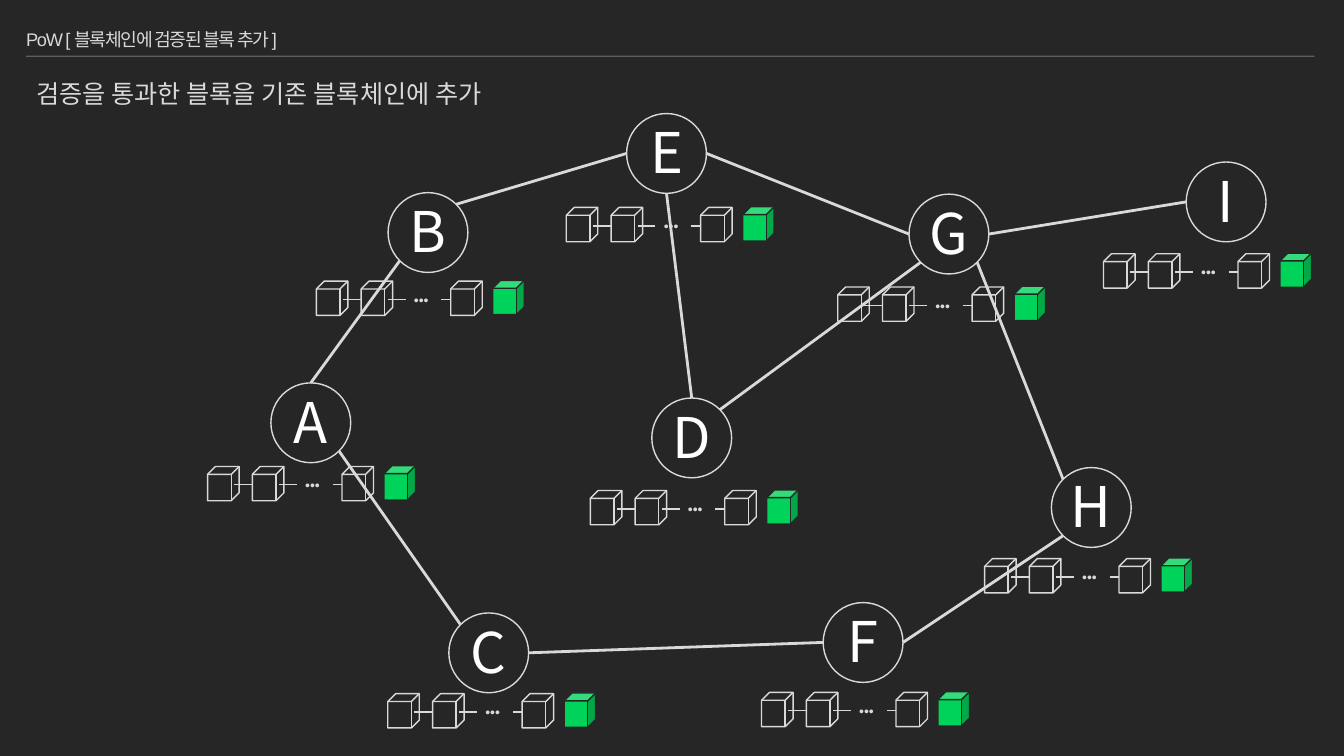
from math import cos, radians, sin

from lxml import etree
from pptx import Presentation
from pptx.dml.color import RGBColor
from pptx.enum.shapes import MSO_CONNECTOR, MSO_SHAPE
from pptx.enum.text import MSO_ANCHOR, MSO_AUTO_SIZE, PP_ALIGN
from pptx.oxml.ns import qn
from pptx.util import Pt

BACKGROUND = RGBColor(0x26, 0x26, 0x26)
LIGHT_GRAY = RGBColor(0xD9, 0xD9, 0xD9)
RULE_GRAY = RGBColor(0xF2, 0xF2, 0xF2)
WHITE = RGBColor(0xFF, 0xFF, 0xFF)
NEW_BLOCK_GREEN = RGBColor(0x00, 0xD3, 0x5A)

TEXT_FONT = "Arial"
NODE_FONT = "Noto Sans CJK KR"

NODE_SIZE = 57
# Node letter: left and top of its circle, left and top of its block chain
NODES = {
    "A": (193.5, 273.5, 148.3, 333.2),
    "I": (847.3, 115.7, 788.3, 181.3),
    "H": (751, 334, 703.3, 399),
    "G": (649.3, 138.7, 598.4, 205),
    "F": (588, 430.4, 544, 494.6),
    "E": (447.6, 81.1, 404.5, 148.2),
    "D": (465.6, 284.3, 421.7, 350.4),
    "C": (320.6, 437.8, 277, 495.5),
    "B": (277.2, 137.6, 226, 200.8),
}

# Directions on a circle, in degrees clockwise from the right
RIGHT, LOWER_RIGHT, DOWN, LOWER_LEFT = 0, 45, 90, 135
LEFT, UPPER_LEFT, UP, UPPER_RIGHT = 180, 225, 270, 315
LINKS = [
    ("A", UP, "B", LOWER_LEFT),
    ("E", LEFT, "B", UPPER_RIGHT),
    ("E", DOWN, "D", UP),
    ("A", LOWER_RIGHT, "C", UPPER_LEFT),
    ("C", RIGHT, "F", LEFT),
    ("F", RIGHT, "H", LOWER_LEFT),
    ("D", UPPER_RIGHT, "G", LOWER_LEFT),
    ("G", RIGHT, "I", LEFT),
    ("G", LEFT, "E", RIGHT),
    ("G", LOWER_RIGHT, "H", UPPER_LEFT),
]

# Chain parts, measured from the left and top of the chain
BLOCK_WIDTH, BLOCK_HEIGHT = 22.5, 24.5
BLOCK_OFFSETS = (0, 32, 96)
NEW_BLOCK_OFFSET = 126
JOINTS = ((19, 31.6), (51.1, 63.7), (89.3, 96.1))
JOINT_DROP = 13.1


def style_text(frame, size, color, font=TEXT_FONT, align=PP_ALIGN.LEFT):
    paragraph = frame.paragraphs[0]
    paragraph.alignment = align
    for run in paragraph.runs:
        run.font.size = Pt(size)
        run.font.name = font
        run.font.color.rgb = color


def set_insets(frame, top, bottom):
    frame.margin_left = frame.margin_right = 0
    frame.margin_top, frame.margin_bottom = Pt(top), Pt(bottom)
    frame.vertical_anchor = MSO_ANCHOR.MIDDLE


def add_line(shapes, start, end, width, color=LIGHT_GRAY):
    line = shapes.add_connector(
        MSO_CONNECTOR.STRAIGHT, *(Pt(value) for value in (*start, *end)))
    line.line.color.rgb = color
    line.line.width = Pt(width)
    etree.SubElement(line.element.spPr, qn("a:effectLst"))
    return line


def add_outline(shapes, preset, left, top, width, height):
    outline = shapes.add_shape(preset, Pt(left), Pt(top), Pt(width), Pt(height))
    outline.shadow.inherit = False
    outline.fill.background()
    outline.line.color.rgb = LIGHT_GRAY
    outline.line.width = Pt(1)
    return outline


def add_title(slide):
    title = slide.shapes.title
    title.left, title.top, title.width, title.height = (
        Pt(18.7), Pt(15.1), Pt(922.3), Pt(25.2))
    frame = title.text_frame
    frame.text = "PoW [ 블록체인에 검증된 블록 추가 ]"
    frame.auto_size = MSO_AUTO_SIZE.NONE
    set_insets(frame, 3.6, 3.6)
    style_text(frame, 13, LIGHT_GRAY)
    paragraph = frame.paragraphs[0]
    paragraph.line_spacing = 1.05
    paragraph.runs[0].font.element.set("spc", "-90") if hasattr(
        paragraph.runs[0].font, "element") else paragraph.runs[0]._r.get_or_add_rPr().set("spc", "-90")


def add_title_rule(slide):
    rule = add_line(slide.shapes, (18.7, 40.1), (938.9, 40.1), 0.5, RULE_GRAY)
    color = rule.element.spPr.find(".//" + qn("a:srgbClr"))
    etree.SubElement(color, qn("a:alpha"), val="80000")


def add_subtitle(slide):
    subtitle = slide.shapes.add_textbox(Pt(18.7), Pt(52.6), Pt(367.2), Pt(29))
    frame = subtitle.text_frame
    frame.text = "검증을 통과한 블록을 기존 블록체인에 추가"
    frame.word_wrap = False
    frame.auto_size = MSO_AUTO_SIZE.SHAPE_TO_FIT_TEXT
    style_text(frame, 18, LIGHT_GRAY)


def add_node(slide, letter, left, top):
    node = add_outline(
        slide.shapes, MSO_SHAPE.OVAL, left, top, NODE_SIZE, NODE_SIZE)
    frame = node.text_frame
    frame.text = letter
    set_insets(frame, 0, 2.9)
    style_text(frame, 40, WHITE, NODE_FONT, PP_ALIGN.CENTER)


def rim_point(letter, direction):
    left, top = NODES[letter][:2]
    radius = NODE_SIZE / 2
    angle = radians(direction)
    return left + radius * (1 + cos(angle)), top + radius * (1 + sin(angle))


def add_chain(slide, left, top):
    parts = slide.shapes.add_group_shape().shapes

    # Newly added block, then the existing ones
    new_block = add_outline(parts, MSO_SHAPE.CUBE, left + NEW_BLOCK_OFFSET,
                            top - 0.5, BLOCK_WIDTH, BLOCK_HEIGHT)
    new_block.fill.solid()
    new_block.fill.fore_color.rgb = NEW_BLOCK_GREEN
    new_block.line.color.rgb = BACKGROUND
    for offset in BLOCK_OFFSETS:
        add_outline(parts, MSO_SHAPE.CUBE, left + offset, top,
                    BLOCK_WIDTH, BLOCK_HEIGHT)

    # Joints and the dots for omitted blocks
    joint_y = top + JOINT_DROP
    for start, end in JOINTS:
        add_line(parts, (left + start, joint_y), (left + end, joint_y), 1)
    dots = parts.add_textbox(Pt(left + 64.8), Pt(top + 3.6), Pt(20.2), Pt(19.4))
    frame = dots.text_frame
    frame.text = "•••"
    frame.word_wrap = True
    frame.auto_size = MSO_AUTO_SIZE.SHAPE_TO_FIT_TEXT
    set_insets(frame, 3.6, 3.6)
    style_text(frame, 10, LIGHT_GRAY, align=PP_ALIGN.CENTER)


def main():
    deck = Presentation()
    deck.slide_width, deck.slide_height = Pt(960), Pt(540)
    slide = deck.slides.add_slide(deck.slide_layouts[5])
    slide.background.fill.solid()
    slide.background.fill.fore_color.rgb = BACKGROUND

    # Heading
    add_title_rule(slide)
    add_title(slide)

    # Network of nodes
    for letter, (left, top, _, _) in NODES.items():
        add_node(slide, letter, left, top)
    for source, source_side, target, target_side in LINKS:
        add_line(slide.shapes, rim_point(source, source_side),
                 rim_point(target, target_side), 2)
    add_subtitle(slide)

    # Block chain held by each node
    for _, _, left, top in NODES.values():
        add_chain(slide, left, top)

    deck.save("out.pptx")


if __name__ == "__main__":
    main()
